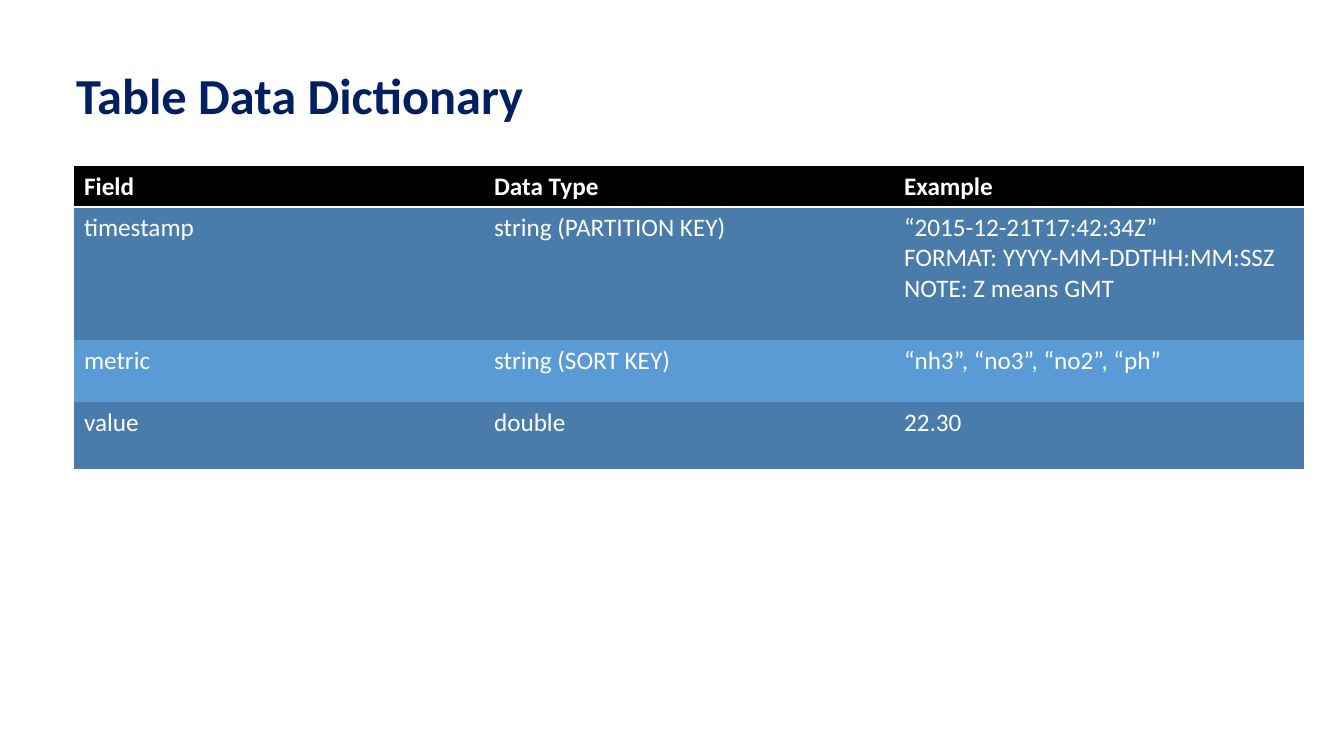
from lxml import etree
from pptx import Presentation
from pptx import util as u
from pptx.dml.color import RGBColor
from pptx.enum import text
from pptx.oxml.ns import qn

COLOURS = {
    "navy": "002060",
    "white": "FFFFFF",
    "header": "000000",
    "dark_band": "497CAB",
    "light_band": "5B9BD5",
}
PLAIN_TABLE_STYLE = "{2D5ABB26-0587-4C30-8999-92F81FD0307C}"


class SlideBuilder:
    scale = 914400 / 100.8
    font = "Calibri"

    def __init__(self, page):
        self.page = page

    @classmethod
    def emu(cls, pixels):
        return u.Emu(round(pixels * cls.scale))

    def colour(self, name):
        return RGBColor.from_string(COLOURS[name])

    def add_span(self, paragraph, words, size, colour, bold=False):
        span = paragraph.add_run()
        span.text = words
        span.font.name = self.font
        span.font.size = u.Pt(size)
        span.font.bold = bold
        span.font.color.rgb = self.colour(colour)

    def title(self, words, left, top, width, height):
        box = self.page.shapes.title
        box.left, box.top, box.width, box.height = map(self.emu, (left, top, width, height))
        frame = box.text_frame
        frame.word_wrap = False
        frame.auto_size = text.MSO_AUTO_SIZE.SHAPE_TO_FIT_TEXT
        frame.vertical_anchor = text.MSO_ANCHOR.TOP
        paragraph = frame.paragraphs[0]
        paragraph.alignment = text.PP_ALIGN.LEFT
        self.add_span(paragraph, words, 36, "navy", bold=True)

    def bottom_border(self, cell, colour, points):
        properties = cell._tc.get_or_add_tcPr()
        line = etree.Element(qn("a:lnB"), w=str(u.Pt(points)))
        fill = etree.SubElement(line, qn("a:solidFill"))
        etree.SubElement(fill, qn("a:srgbClr"), val=COLOURS[colour])
        properties.insert(0, line)

    def cell(self, cell, lines, fill, bold):
        cell.fill.solid()
        cell.fill.fore_color.rgb = self.colour(fill)
        frame = cell.text_frame
        for index, words in enumerate(lines):
            paragraph = frame.add_paragraph() if index else frame.paragraphs[0]
            self.add_span(paragraph, words, 18, "white", bold)

    def table(self, rows, left, top, column_width, row_heights):
        columns = len(rows[0])
        box = self.page.shapes.add_table(
            len(rows), columns, self.emu(left), self.emu(top),
            self.emu(column_width * columns), self.emu(sum(row_heights)))
        table = box.table
        table.horz_banding = False
        table._tbl.tblPr.find(qn("a:tableStyleId")).text = PLAIN_TABLE_STYLE
        for column in table.columns:
            column.width = self.emu(column_width)
        for index, (row, height) in enumerate(zip(rows, row_heights)):
            table.rows[index].height = self.emu(height)
            is_header = index == 0
            band = "dark_band" if index % 2 else "light_band"
            for cell, lines in zip(table.rows[index].cells, row):
                self.cell(cell, lines, "header" if is_header else band, is_header)
                if is_header:
                    self.bottom_border(cell, "white", 2)


FIELDS = [
    [["Field"], ["Data Type"], ["Example"]],
    [["timestamp"], ["string (PARTITION KEY)"],
     ["“2015-12-21T17:42:34Z”", "FORMAT: YYYY-MM-DDTHH:MM:SSZ", "NOTE: Z means GMT"]],
    [["metric"], ["string (SORT KEY)"], ["“nh3”, “no3”, “no2”, “ph”"]],
    [["value"], ["double"], ["22.30"]],
]

deck = Presentation()
deck.slide_width = SlideBuilder.emu(1344)
deck.slide_height = SlideBuilder.emu(756)
builder = SlideBuilder(deck.slides.add_slide(deck.slide_layouts.get_by_name("Title Only")))
builder.title("Table Data Dictionary", 66, 59, 493, 71)
builder.table(FIELDS, 74, 166, 410, [41, 133, 62, 67])
deck.save("out.pptx")
